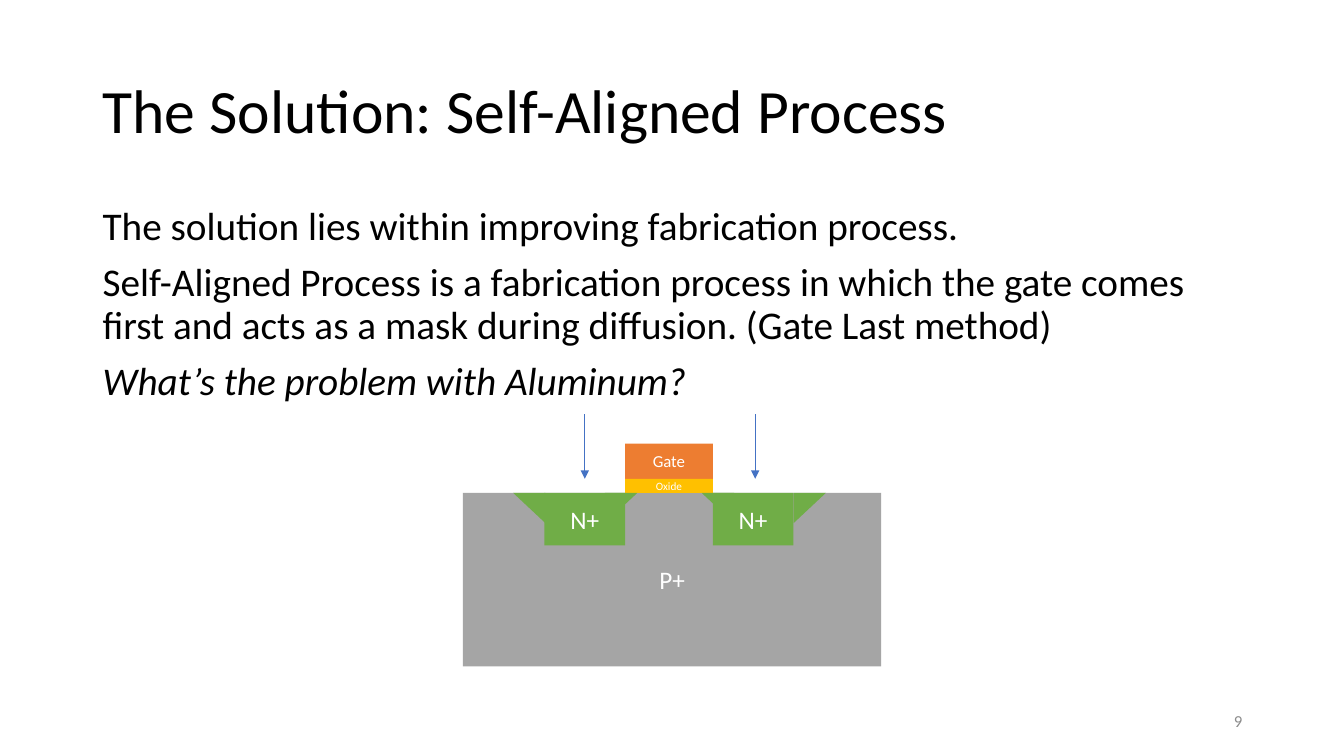
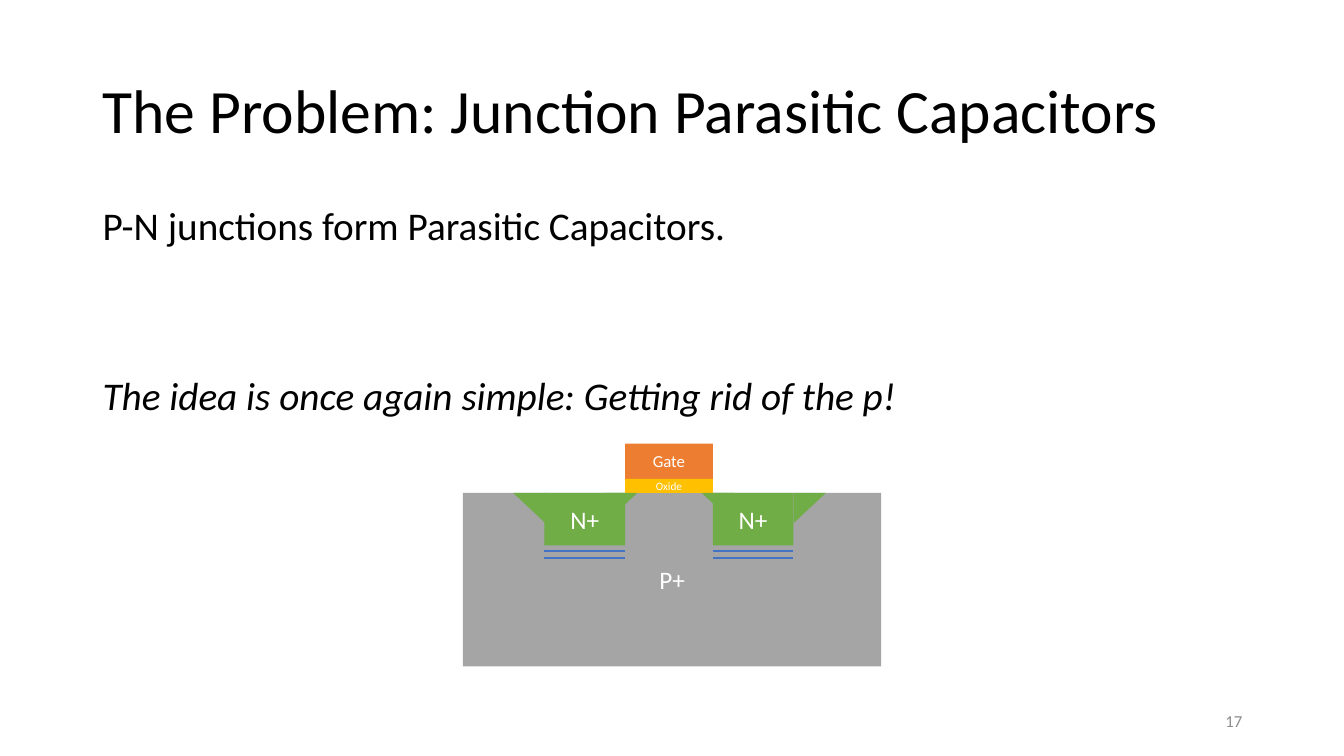
import lxml.etree
import pptx
import pptx.dml.color
import pptx.enum.shapes
import pptx.enum.text
import pptx.oxml.ns
import pptx.util

EMU_PER_PX = 9144  # 100 px to the inch
FONT = "Calibri"
BLACK, WHITE, NUMBER_GREY = "000000", "FFFFFF", "8C8C8C"
SUBSTRATE_GREY, GATE_ORANGE, OXIDE_YELLOW = "A5A5A5", "ED7D31", "FFC000"
DIFFUSION_GREEN, LINE_BLUE = "70AD47", "4472C4"

PARAGRAPH_GAP = 10
WIDE_GAP = 91

SURFACE = 489
GATE_LEFT, GATE_WIDTH = 620, 87
OXIDE_HEIGHT, GATE_HEIGHT = 14, 35
WELL_WIDTH, WELL_HEIGHT = 80, 52
WELL_LEFTS = (GATE_LEFT - WELL_WIDTH, GATE_LEFT + GATE_WIDTH)

SHAPE_TYPE = pptx.enum.shapes.MSO_SHAPE
ALIGN = pptx.enum.text.PP_ALIGN
ANCHOR = pptx.enum.text.MSO_ANCHOR


def px(length):
    return pptx.util.Emu(length * EMU_PER_PX)


def color(hex_string):
    return pptx.dml.color.RGBColor.from_string(hex_string)


def add_run(paragraph, text, size, text_color, italic=False):
    run = paragraph.add_run()
    run.text = text
    run.font.name = FONT
    run.font.size = pptx.util.Pt(size)
    run.font.color.rgb = color(text_color)
    if italic:
        run.font.italic = True


def add_text_frame(slide, left, top, width, height, anchor):
    box = slide.shapes.add_textbox(px(left), px(top), px(width), px(height))
    box.text_frame.word_wrap = True
    box.text_frame.vertical_anchor = anchor
    return box.text_frame


def add_title(slide, text):
    frame = add_text_frame(slide, 92, 40, 1150, 145, ANCHOR.MIDDLE)
    paragraph = frame.paragraphs[0]
    paragraph.line_spacing = 0.9
    add_run(paragraph, text, 44, BLACK)


def add_body(slide, entries):
    """Write entries of (text, italic, space before in points)."""
    frame = add_text_frame(slide, 92, 200, 1150, 476, ANCHOR.TOP)
    for index, (text, italic, gap) in enumerate(entries):
        paragraph = frame.add_paragraph() if index else frame.paragraphs[0]
        paragraph.line_spacing = 0.9
        paragraph.space_before = pptx.util.Pt(gap)
        add_run(paragraph, text, 28, BLACK, italic)


def add_slide_number(slide, number):
    frame = add_text_frame(slide, 942, 695, 300, 40, ANCHOR.MIDDLE)
    paragraph = frame.paragraphs[0]
    paragraph.alignment = ALIGN.RIGHT
    add_run(paragraph, str(number), 12, NUMBER_GREY)


def add_filled_shape(slide, shape_type, left, top, width, height, fill):
    shape = slide.shapes.add_shape(shape_type, px(left), px(top), px(width), px(height))
    shape.shadow.inherit = False
    shape.fill.solid()
    shape.fill.fore_color.rgb = color(fill)
    shape.line.fill.background()
    return shape


def add_layer(slide, left, top, width, height, fill, label, size):
    shape = add_filled_shape(slide, SHAPE_TYPE.RECTANGLE, left, top, width, height, fill)
    frame = shape.text_frame
    frame.word_wrap = True
    frame.vertical_anchor = ANCHOR.MIDDLE
    paragraph = frame.paragraphs[0]
    paragraph.alignment = ALIGN.CENTER
    add_run(paragraph, label, size, WHITE)


def add_well_edge(slide, left, points_right):
    """Add a triangle hanging from the surface, with its sharp tip to one side."""
    shape = add_filled_shape(slide, SHAPE_TYPE.RIGHT_TRIANGLE, left, SURFACE, 32, 30,
                             DIFFUSION_GREEN)
    shape.rotation = 180
    if points_right:
        shape.element.spPr.get_or_add_xfrm().set("flipH", "1")


def add_line(slide, start, end, width, arrow=False):
    line = slide.shapes.add_connector(
        pptx.enum.shapes.MSO_CONNECTOR.STRAIGHT, *map(px, start + end))
    line.line.color.rgb = color(LINE_BLUE)
    line.line.width = pptx.util.Pt(width)
    properties = line.element.spPr
    if arrow:
        lxml.etree.SubElement(properties.find(pptx.oxml.ns.qn("a:ln")),
                              pptx.oxml.ns.qn("a:tailEnd"), type="triangle")
    lxml.etree.SubElement(properties, pptx.oxml.ns.qn("a:effectLst"))


def add_transistor(slide):
    oxide_top = SURFACE - OXIDE_HEIGHT
    add_layer(slide, 459, SURFACE, 415, 172, SUBSTRATE_GREY, "P+", 18)
    add_layer(slide, GATE_LEFT, oxide_top - GATE_HEIGHT, GATE_WIDTH, GATE_HEIGHT,
              GATE_ORANGE, "Gate", 12)
    add_layer(slide, GATE_LEFT, oxide_top, GATE_WIDTH, OXIDE_HEIGHT, OXIDE_YELLOW, "Oxide", 8)
    for left in WELL_LEFTS:
        add_layer(slide, left, SURFACE, WELL_WIDTH, WELL_HEIGHT, DIFFUSION_GREEN, "N+", 18)
    for left, points_right in ((509, False), (600, True), (696, False), (787, True)):
        add_well_edge(slide, left, points_right)


def add_diffusion_arrows(slide):
    for x in (580, 749):
        add_line(slide, (x, 411), (x, 475), 0.5, arrow=True)


def add_junction_capacitors(slide):
    for left in WELL_LEFTS:
        for y in (547, 554):
            add_line(slide, (left, y), (left + WELL_WIDTH, y), 1.5)


def add_content_slide(presentation, title, entries, number):
    slide = presentation.slides.add_slide(presentation.slide_layouts[6])
    add_title(slide, title)
    add_body(slide, entries)
    add_slide_number(slide, number)
    add_transistor(slide)
    return slide


def main():
    presentation = pptx.Presentation()
    presentation.slide_width = pptx.util.Inches(13.33)
    presentation.slide_height = pptx.util.Inches(7.5)

    solution = add_content_slide(presentation, "The Solution: Self-Aligned Process", [
        ("The solution lies within improving fabrication process.", False, PARAGRAPH_GAP),
        ("Self-Aligned Process is a fabrication process in which the gate comes first "
         "and acts as a mask during diffusion. (Gate Last method)", False, PARAGRAPH_GAP),
        ("What’s the problem with Aluminum?", True, PARAGRAPH_GAP),
    ], 9)
    add_diffusion_arrows(solution)

    problem = add_content_slide(presentation, "The Problem: Junction Parasitic Capacitors", [
        ("P-N junctions form Parasitic Capacitors.", False, PARAGRAPH_GAP),
        ("The idea is once again simple: Getting rid of the p!", True, WIDE_GAP),
    ], 17)
    add_junction_capacitors(problem)

    presentation.save("out.pptx")


if __name__ == "__main__":
    main()
